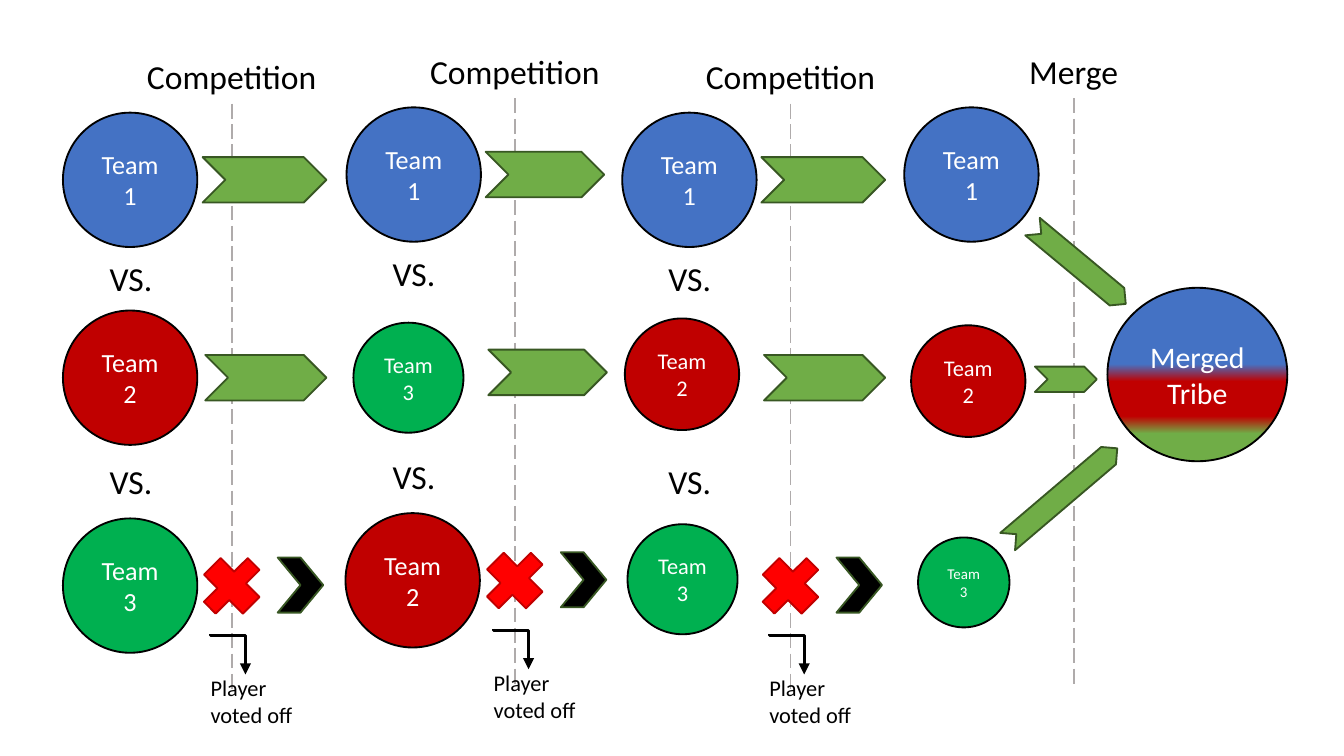
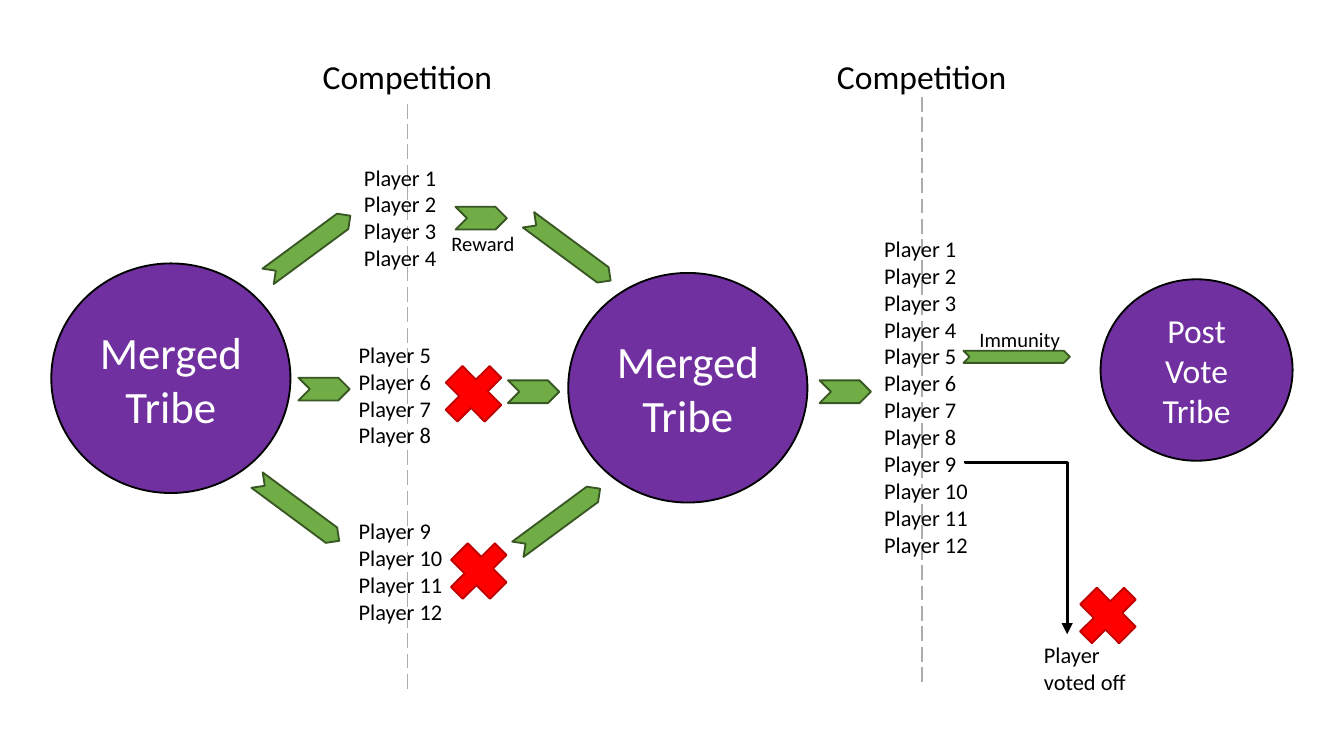
from lxml.etree import SubElement as Sub
from pptx import Presentation
from pptx.dml.color import RGBColor as RGB
from pptx.enum.dml import MSO_LINE as Dash
from pptx.enum.shapes import MSO_CONNECTOR as Link, MSO_SHAPE as Kind
from pptx.enum.text import MSO_ANCHOR as Anchor, PP_ALIGN as Align
from pptx.oxml.ns import qn
from pptx.util import Cm, Pt

FONT = "Calibri"
BLACK, WHITE = RGB(0, 0, 0), RGB(255, 255, 255)
BLUE, CRIMSON, GREEN = RGB(0x44, 0x72, 0xC4), RGB(0xC0, 0, 0), RGB(0, 0xB0, 0x50)
LEAF, MOSS = RGB(0x70, 0xAD, 0x47), RGB(0x38, 0x57, 0x23)
RED, PURPLE, GREY = RGB(255, 0, 0), RGB(0x70, 0x30, 0xA0), RGB(0xAF, 0xAB, 0xAB)

TEAMS = {1: BLUE, 2: CRIMSON, 3: GREEN}
BLEND = [(44, BLUE), (54, CRIMSON), (74, CRIMSON), (84, LEAF), (86, LEAF)]
OFF = ["Player", "voted off"]

# All boxes are left, top, width, height in centimetres.
# Stage: left, vertical shift, arrow widths, teams as (number, box, text size)
STAGES = [
    (1.19, 0, (2.34, 2.29), [(1, (1.19, 2.13, 2.54, 2.54), 14),
                             (2, (1.19, 5.87, 2.54, 2.54), 14),
                             (3, (1.19, 9.8, 2.54, 2.54), 14)]),
    (6.54, -0.1, (2.24, 2.24), [(1, (6.55, 2.03, 2.54, 2.54), 14),
                                (3, (6.68, 6.1, 2.08, 2.08), 12),
                                (2, (6.53, 9.7, 2.54, 2.54), 14)]),
    (11.75, 0, (2.34, 2.29), [(1, (11.76, 2.13, 2.54, 2.54), 14),
                              (2, (11.81, 6.02, 2.16, 2.11), 12),
                              (3, (11.86, 9.91, 2.08, 2.08), 12)]),
    (17.1, -0.1, None, [(1, (17.09, 2.03, 2.54, 2.54), 14),
                        (2, (17.22, 6.15, 2.16, 2.11), 12),
                        (3, (17.35, 10.16, 1.73, 1.7), 8)]),
]
MERGES = [((18.72, 9.14, 2.72, 0.43), 319.6), ((19.56, 6.93, 1.17, 0.48), 0),
          ((19.25, 4.8, 2.29, 0.43), 39.7)]

# Dashed line x and top
GATES = [(7.7, 1.96), (17.42, 1.83)]
TRIBES = [("Merged Tribe", (0.97, 4.98, 4.52, 4.34), 24),
          ("Merged Tribe", (10.74, 5.16, 4.52, 4.34), 24),
          ("Post Vote Tribe", (20.8, 5.28, 3.63, 3.43), 18)]
# First and last player, left, top
GROUPS = [(1, 4, 6.63, 2.97), (5, 8, 6.53, 6.32),
          (9, 12, 6.53, 9.65), (1, 12, 16.46, 4.32)]
SHORT = [(5.64, 7.14), (8.61, 3.91), (15.49, 7.19), (9.6, 7.19)]
LONG = [(4.67, 9.47, 36.5), (4.88, 4.47, 323.6),
        (9.8, 4.55, 36.5), (9.6, 9.63, 323.6)]
CROSSES = [(8.53, 10.21), (8.43, 6.86), (20.42, 11.05)]
NOTES = [("Reward", (8.28, 4.24, 1.78, 0.74)),
         ("Immunity", (18.26, 6.05, 2.39, 0.74))]


def write(frame, lines, size=18, color=BLACK, align=Align.LEFT):
    frame.word_wrap = True
    for i, line in enumerate(lines):
        para = frame.paragraphs[0] if i == 0 else frame.add_paragraph()
        para.alignment = align
        run = para.add_run()
        run.text = line
        run.font.name, run.font.size = FONT, Pt(size)
        run.font.color.rgb = color


def label(slide, box, lines, **fmt):
    write(slide.shapes.add_textbox(*map(Cm, box)).text_frame, lines, **fmt)


def draw(slide, kind, box, fill, edge, turn=0):
    shape = slide.shapes.add_shape(kind, *map(Cm, box))
    shape.shadow.inherit = False
    shape.fill.solid()
    shape.fill.fore_color.rgb = fill
    shape.line.color.rgb = edge
    shape.line.width = Pt(1)
    shape.rotation = turn
    return shape


def disc(slide, text, box, size, fill):
    shape = draw(slide, Kind.OVAL, box, fill, BLACK)
    shape.text_frame.vertical_anchor = Anchor.MIDDLE
    write(shape.text_frame, [text], size=size, color=WHITE, align=Align.CENTER)
    return shape


def arrow(slide, box, turn=0, fill=LEAF):
    draw(slide, Kind.CHEVRON, box, fill, MOSS, turn)


def cross(slide, x, y):
    shape = draw(slide, Kind.CROSS, (x, y, 1.04, 1.17), RED, CRIMSON, 45.1)
    shape.adjustments[0] = 0.349


def link(slide, kind, ends, color, width):
    line = slide.shapes.add_connector(kind, *map(Cm, ends))
    line.line.color.rgb = color
    line.line.width = Pt(width)
    Sub(line._element.spPr, qn("a:effectLst"))
    return line


def elbow(slide, x, y, wide, high):
    """Arrow that runs right and then down: a quarter-turned bent connector."""
    mx, my = x + wide / 2, y + high / 2
    ends = (mx + high / 2, my - wide / 2, mx - high / 2, my + wide / 2)
    line = link(slide, Link.ELBOW, ends, BLACK, 1.5)
    props = line._element.spPr
    props.find(qn("a:xfrm")).set("rot", str(270 * 60000))
    geom = props.find(qn("a:prstGeom"))
    marks = geom.find(qn("a:avLst"))
    if marks is None:
        marks = Sub(geom, qn("a:avLst"))
    bend = round(0.03 / high * 100000)
    Sub(marks, qn("a:gd"), name="adj1", fmla=f"val {bend}")
    Sub(props.find(qn("a:ln")), qn("a:tailEnd"), type="triangle")


def gate(slide, x, y, text="Competition", gap=1.02):
    """Dashed divider from y down, with its heading above."""
    line = link(slide, Link.STRAIGHT, (x, y, x, y + 11.12), GREY, 1)
    line.line.dash_style = Dash.LONG_DASH
    label(slide, (x - 1.92, y - gap, 3.84, 1.02), [text], align=Align.CENTER)


def blend(shape, stops):
    shape.fill.gradient()
    shape.fill.gradient_angle = 270
    bands = shape._element.spPr.find(qn("a:gradFill")).find(qn("a:gsLst"))
    for old in list(bands):
        bands.remove(old)
    for pos, color in stops:
        stop = Sub(bands, qn("a:gs"), pos=str(pos * 1000))
        Sub(stop, qn("a:srgbClr"), val=str(color))


def teams(slide):
    for x, dy, widths, circles in STAGES:
        gate(slide, x + 3.19, 1.96 + dy, "Competition" if widths else "Merge")
        for team, box, size in circles:
            disc(slide, f"Team {team}", box, size, TEAMS[team])
        if not widths:
            continue
        for top in (4.75, 8.59):
            label(slide, (x + 0.56, top + dy, 1.45, 1.02), ["VS."],
                  align=Align.CENTER)
        for dx, top, wide in zip((2.64, 2.69), (2.97, 6.71), widths):
            arrow(slide, (x + dx, top + dy, wide, 0.86))
        cross(slide, x + 2.67, 10.49 + dy)
        arrow(slide, (x + 4.06, 10.54 + dy, 0.86, 1.04), fill=BLACK)
        elbow(slide, x + 2.79, 11.99 + dy, 0.66, 0.76)
        label(slide, (x + 2.54, 12.62 + dy, 2.44, 1.27), OFF, size=12)
    tribe = disc(slide, "Merged Tribe", (20.93, 5.44, 3.4, 3.28), 16, BLUE)
    blend(tribe, BLEND)
    for box, turn in MERGES:
        arrow(slide, box, turn)


def players(slide):
    for x, y in GATES:
        gate(slide, x, y, gap=y - 0.94)
    for text, box, size in TRIBES:
        disc(slide, text, box, size, PURPLE)
    for first, last, x, y in GROUPS:
        names = [f"Player {n}" for n in range(first, last + 1)]
        label(slide, (x, y, 2.29, 0.25 + 0.51 * len(names)), names, size=12)
    for x, y in SHORT:
        arrow(slide, (x, y, 0.97, 0.43))
    for x, y, turn in LONG:
        arrow(slide, (x, y, 1.93, 0.36), turn)
    arrow(slide, (18.21, 6.63, 2.01, 0.23))
    for x, y in CROSSES:
        cross(slide, x, y)
    for text, box in NOTES:
        label(slide, box, [text], size=11)
    elbow(slide, 18.24, 8.71, 1.93, 3.28)
    label(slide, (19.48, 11.99, 2.44, 1.27), OFF, size=12)


def main():
    deck = Presentation()
    deck.slide_width, deck.slide_height = Cm(25.4), Cm(14.29)
    for build in (teams, players):
        build(deck.slides.add_slide(deck.slide_layouts[6]))
    deck.save("out.pptx")


if __name__ == "__main__":
    main()
